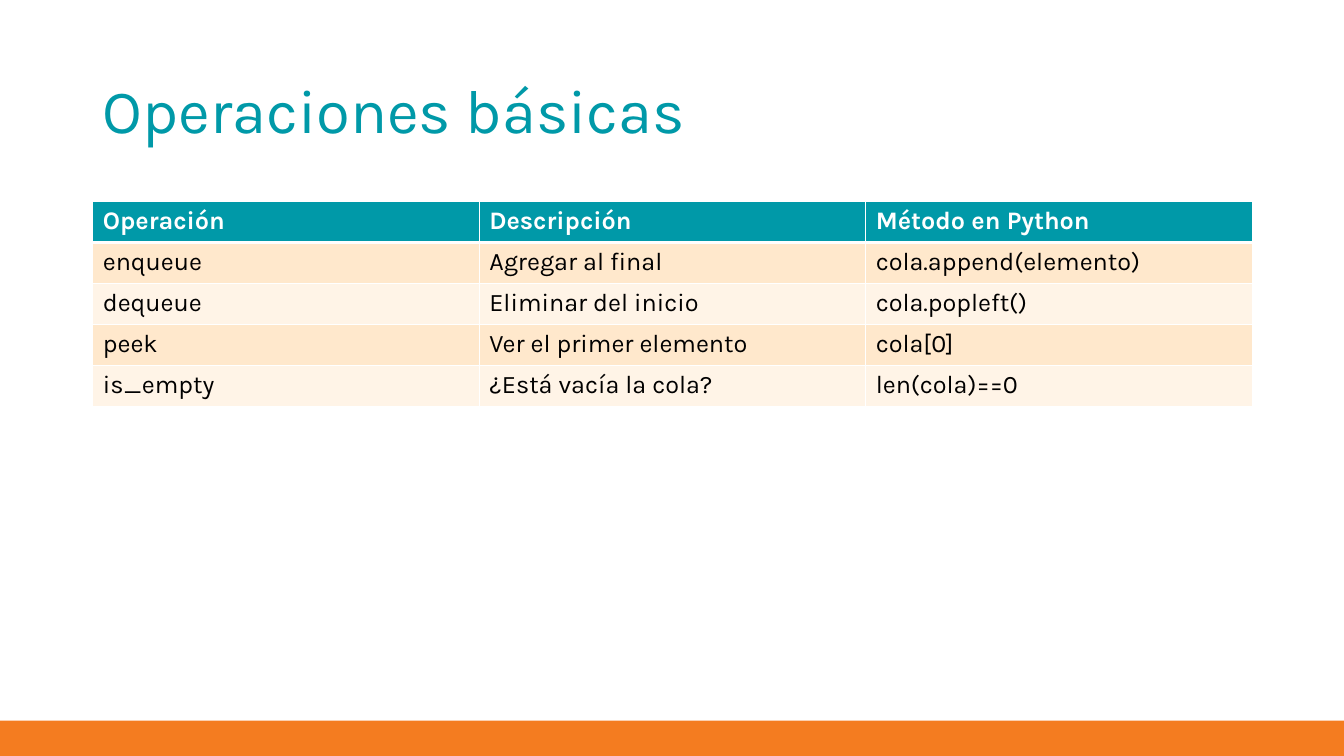
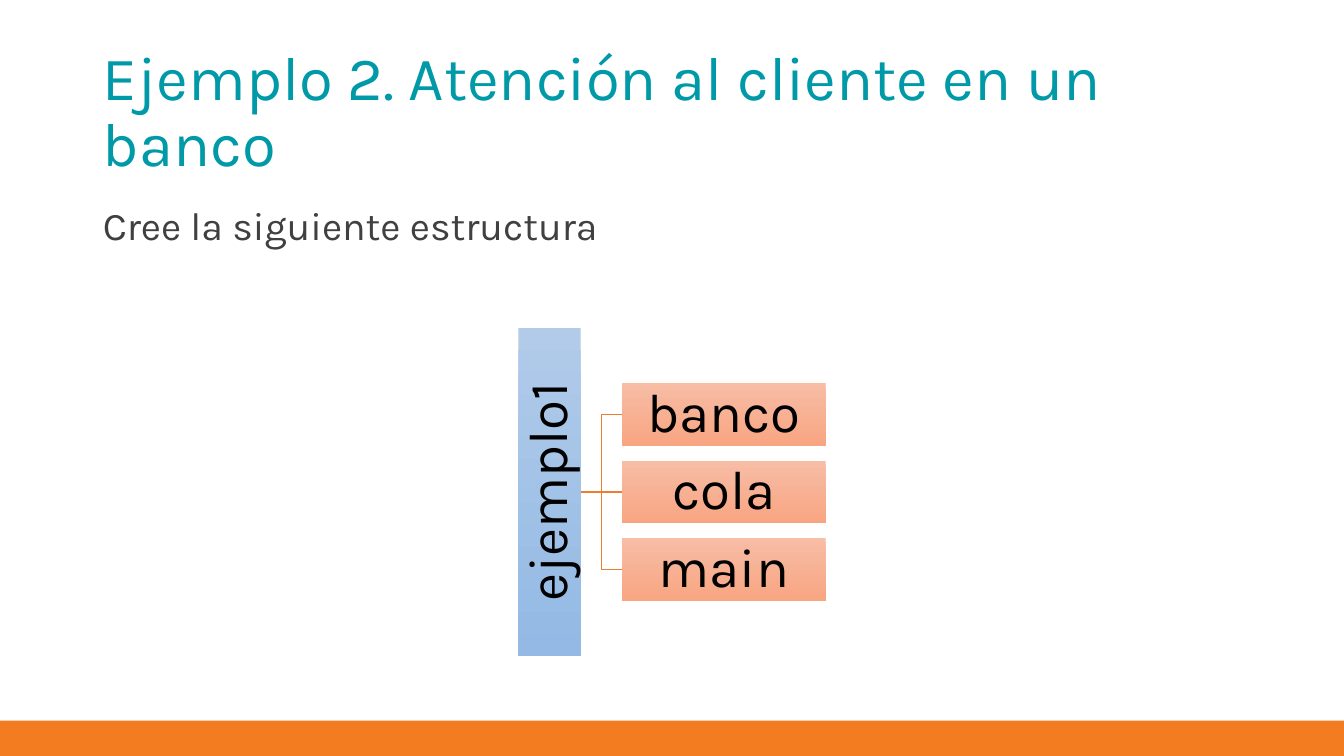
from pptx import Presentation
from pptx.dml.color import RGBColor
from pptx.enum import shapes, text
from pptx.oxml import parse_xml
from pptx.oxml.ns import nsdecls
from pptx.util import Inches, Pt

# Shared style
FONT = "Karla"
TEAL = RGBColor(0x00, 0x99, 0xA8)
BAND = RGBColor(0xF4, 0x7C, 0x20)
WHITE = RGBColor(0xFF, 0xFF, 0xFF)
BLACK = RGBColor(0x00, 0x00, 0x00)
GRAY = RGBColor(0x40, 0x40, 0x40)
LINK = RGBColor(0xED, 0x7D, 0x31)
ROWS = RGBColor(0xFF, 0xF4, 0xE7), RGBColor(0xFF, 0xE8, 0xCC)
BLUES = RGBColor(0xB1, 0xCB, 0xE9), RGBColor(0x93, 0xB9, 0xE4)
CORALS = RGBColor(0xF7, 0xBD, 0xA5), RGBColor(0xF8, 0xA5, 0x82)
WIDE, HIGH = 13.33, 7.5
LEFT, SPAN, TOP = 0.92, 11.5, 2

# Content
TITLES = "Operaciones básicas", "Ejemplo 2. Atención al cliente en un banco"
TABLE = [
    ("Operación", "Descripción", "Método en Python"),
    ("enqueue", "Agregar al final", "cola.append(elemento)"),
    ("dequeue", "Eliminar del inicio", "cola.popleft()"),
    ("peek", "Ver el primer elemento", "cola[0]"),
    ("is_empty", "¿Está vacía la cola?", "len(cola)==0"),
]
TASK = "Cree la siguiente estructura"
ROOT, FILES = "ejemplo1", ("banco", "cola", "main")


def place(shape, x, y, w, h):
    shape.left, shape.top = Inches(x), Inches(y)
    shape.width, shape.height = Inches(w), Inches(h)


def write(frame, words, size, color, bold=False, align=text.PP_ALIGN.LEFT):
    para = frame.paragraphs[0]
    para.alignment = align
    run = para.add_run()
    run.text = words
    font = run.font
    font.name, font.size, font.bold = FONT, Pt(size), bold
    font.color.rgb = color
    return para


def fill_in(shape, words, size, color):
    frame = shape.text_frame
    frame.word_wrap = True
    frame.auto_size = text.MSO_AUTO_SIZE.NONE
    para = write(frame, words, size, color)
    para.line_spacing = 0.9
    return para


def add_slide(deck, layout, title):
    slide = deck.slides.add_slide(deck.slide_layouts[layout])
    head = slide.shapes.title
    place(head, LEFT, 0.4, SPAN, 1.45)
    fill_in(head, title, 44, TEAL)
    head.text_frame.vertical_anchor = text.MSO_ANCHOR.MIDDLE
    band = add_rect(slide, 0, 7.15, WIDE, 0.35)
    band.fill.solid()
    band.fill.fore_color.rgb = BAND
    return slide


def add_rect(slide, x, y, w, h):
    rect = slide.shapes.add_shape(
        shapes.MSO_SHAPE.RECTANGLE, Inches(x), Inches(y), Inches(w), Inches(h))
    rect.shadow.inherit = False
    rect.line.fill.background()
    return rect


def add_node(slide, words, x, y, w, h, shades):
    node = add_rect(slide, x, y, w, h)
    node.fill.gradient()
    node.fill.gradient_angle = 270
    for stop, shade in zip(node.fill.gradient_stops, shades):
        stop.color.rgb = shade
    frame = node.text_frame
    frame.margin_left = frame.margin_right = Inches(0.03)
    frame.margin_top = frame.margin_bottom = Inches(0.03)
    frame.vertical_anchor = text.MSO_ANCHOR.MIDDLE
    para = write(frame, words, 39, BLACK, align=text.PP_ALIGN.CENTER)
    para.line_spacing = 0.9
    return node


def add_link(slide, points):
    pts = [(Inches(x), Inches(y)) for x, y in points]
    path = slide.shapes.build_freeform(*pts[0])
    path.add_line_segments(pts[1:], close=False)
    link = path.convert_to_shape()
    link.shadow.inherit = False
    link.fill.background()
    link.line.color.rgb, link.line.width = LINK, Pt(1)


def edge(cell, sides):
    props = cell._tc.get_or_add_tcPr()
    for i, (side, size) in enumerate(sides.items()):
        props.insert(i, parse_xml(
            f'<a:ln{side} {nsdecls("a")} w="{Pt(size)}"><a:solidFill>'
            f'<a:srgbClr val="{WHITE}"/></a:solidFill></a:ln{side}>'))


def add_table(slide):
    count, cols, high = len(TABLE), len(TABLE[0]), 0.406
    grid = slide.shapes.add_table(
        count, cols, Inches(LEFT), Inches(TOP), Inches(SPAN),
        Inches(high * count)).table
    for r, row in enumerate(TABLE):
        top = r == 0
        for c, words in enumerate(row):
            cell = grid.cell(r, c)
            cell.fill.solid()
            cell.fill.fore_color.rgb = TEAL if top else ROWS[r % 2]
            write(cell.text_frame, words, 18, WHITE if top else BLACK, top)
            edge(cell, {"L": 1, "R": 1, "T": 3 if r == 1 else 1,
                        "B": 3 if top else 1})


def add_tree(slide):
    x, mid, thick, step, gap = 5.14, 4.88, 0.62, 0.77, 0.41
    start = x + thick
    end, bend = start + gap, start + gap / 2
    # Links behind the nodes
    mids = [mid + (i - (len(FILES) - 1) / 2) * step for i in range(len(FILES))]
    for y in mids:
        if y == mid:
            add_link(slide, [(start, mid), (end, mid)])
        else:
            add_link(slide, [(start, mid), (bend, mid), (bend, y), (end, y)])
    # Root, then its files
    root = add_node(slide, ROOT, x, mid - 3.25 / 2, thick, 3.25, BLUES)
    root.text_frame._txBody.bodyPr.set("vert", "vert270")
    for name, y in zip(FILES, mids):
        add_node(slide, name, end, y - thick / 2, 2.02, thick, CORALS)


def main():
    deck = Presentation()
    deck.slide_width, deck.slide_height = Inches(WIDE), Inches(HIGH)

    # Basic operations
    add_table(add_slide(deck, 5, TITLES[0]))

    # Bank example
    slide = add_slide(deck, 1, TITLES[1])
    body = slide.placeholders[1]
    place(body, LEFT, TOP, SPAN, 0.63)
    para = fill_in(body, TASK, 28, GRAY)
    para.space_before = Pt(10)
    props = para._p.get_or_add_pPr()
    props.set("marL", "0")
    props.set("indent", "0")
    props.append(parse_xml(f'<a:buNone {nsdecls("a")}/>'))
    add_tree(slide)

    deck.save("out.pptx")


if __name__ == "__main__":
    main()
